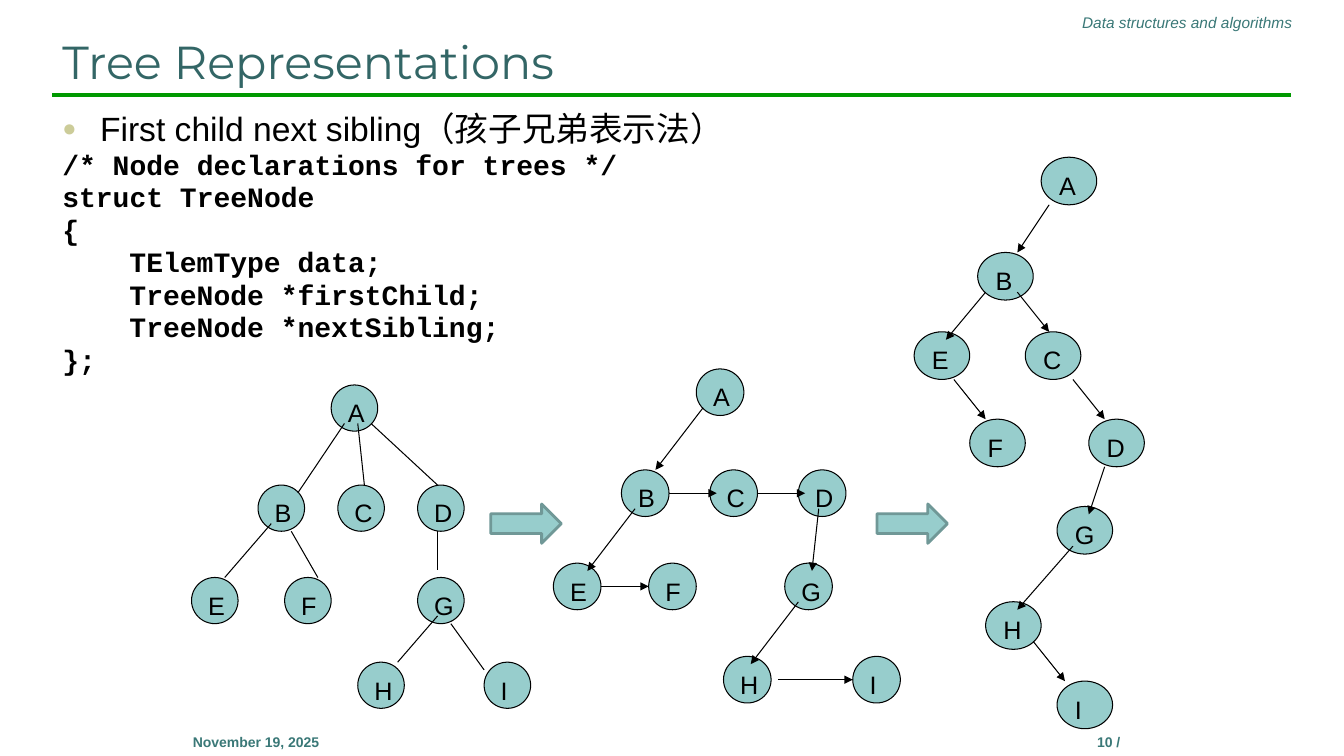
from lxml import etree
from pptx import Presentation
from pptx.dml.color import RGBColor
from pptx.enum.shapes import MSO_CONNECTOR, MSO_SHAPE
from pptx.enum.text import MSO_ANCHOR, PP_ALIGN
from pptx.oxml.ns import qn
from pptx.util import Pt

OVAL, ARROW = MSO_SHAPE.OVAL, MSO_SHAPE.RIGHT_ARROW
LINE = MSO_CONNECTOR.STRAIGHT
TOP, BOTTOM = MSO_ANCHOR.TOP, MSO_ANCHOR.BOTTOM
LEFT, CENTER, RIGHT = PP_ALIGN.LEFT, PP_ALIGN.CENTER, PP_ALIGN.RIGHT
BLACK, TEAL, AQUA = "000000", "3A7877", "97CDCC"
color = RGBColor.from_string


def write(shapes, box, lines, form, tint=BLACK, align=LEFT, anchor=TOP):
    """Add a text box with one paragraph per line."""
    text = shapes.add_textbox(*map(Pt, box))
    frame = text.text_frame
    frame.word_wrap = True
    frame.vertical_anchor = anchor
    frame.text = "\n".join(lines)
    for para in frame.paragraphs:
        para.alignment = align
        font = para.runs[0].font
        font.color.rgb = color(tint)
        for key, value in form.items():
            setattr(font, key, value)
    return text


def link(shapes, ends, tint, width, head=False):
    """Add a straight line, with an arrowhead at its end if asked for."""
    wire = shapes.add_connector(LINE, *map(Pt, ends))
    wire.line.color.rgb = color(tint)
    wire.line.width = Pt(width)
    props = wire.element.spPr
    if head:
        etree.SubElement(props.find(qn("a:ln")), qn("a:tailEnd"), type="triangle")
    etree.SubElement(props, qn("a:effectLst"))


deck = Presentation()
deck.slide_width, deck.slide_height = Pt(960), Pt(540)
shapes = deck.slides.add_slide(deck.slide_layouts[6]).shapes

# Header, footer and title
link(shapes, (37.4, 67.7, 922.3, 67.7), "009900", 3)
write(shapes, (405.4, 5.8, 524.9, 20.9), ["Data structures and algorithms"],
      {"name": "Arial", "size": Pt(11), "italic": True}, TEAL, RIGHT)
for left, note in ((684, "10 /"), (74.9, "November 19, 2025")):
    write(shapes, (left, 520.6, 216, 36), [note],
          {"name": "Arial", "size": Pt(10), "bold": True}, TEAL, CENTER)
write(shapes, (37.4, 16.6, 884.9, 50.4), ["Tree Representations"],
      {"name": "Montserrat", "size": Pt(33)}, "336666", LEFT, BOTTOM)

# Bullet line followed by code; the fields are indented
fields = ["TElemType data;", "TreeNode *firstChild;", "TreeNode *nextSibling;"]
lines = ["First child next sibling（孩子兄弟表示法）",
         "/* Node declarations for trees */", "struct TreeNode", "{",
         *fields, "};"]
body = write(shapes, (37.4, 73.4, 884.9, 438.5), lines,
             {"name": "Courier New", "size": Pt(20), "bold": True})
first, *code = body.text_frame.paragraphs
first.space_before = Pt(5)
for key, value in {"name": "Arial", "size": Pt(24), "bold": False}.items():
    setattr(first.runs[0].font, key, value)
for para in code:
    para.space_before = Pt(4)
    para.line_spacing = 0.8

bullet, *rest = body.element.iter(qn("a:pPr"))
for props, line in zip(rest, lines[1:]):
    if line in fields:
        props.set("marL", str(Pt(48)))
bullet.set("marL", str(Pt(27)))
bullet.set("indent", str(Pt(-27)))
tone = etree.SubElement(bullet, qn("a:buClr"))
etree.SubElement(tone, qn("a:srgbClr"), val="CCCC99")
for tag, key, value in (("a:buSzPct", "val", "70000"),
                        ("a:buFont", "typeface", "Arial"),
                        ("a:buChar", "char", "●")):
    etree.SubElement(bullet, qn(tag), {key: value})

# Each tree has its own grid, and a node spans 7 by 6 grid steps.
# Nodes give the column and row of their top left corner.
# Edges give the grid steps from that corner to each end of the line.
SPAN, RISE = 7, 6
plain = {
    "origin": (136.8, 275), "step": (4.75, 5.5), "head": False,
    "nodes": {"A": (21, 0), "B": (10, 13), "C": (22, 13), "D": (34, 13),
              "E": (0, 25), "F": (14, 25), "G": (34, 25),
              "H": (25, 36), "I": (44, 36)},
    "edges": {"AB": ((2, 5), (6, 1)), "AC": ((4, 5), (4, 0)),
              "AD": ((6, 5), (3, 0)), "BE": ((2, 5), (5, 0)),
              "BF": ((5, 6), (5, 0)), "DG": ((3, 6), (3, -1)),
              "GH": ((3, 5), (6, 0)), "GI": ((5, 6), (0, 1))},
}
linked = {
    "origin": (395.3, 263.5), "step": (4.86, 5.55), "head": True,
    "nodes": {"A": (21, 0), "B": (10, 13), "C": (23, 13), "D": (36, 13),
              "E": (0, 25), "F": (14, 25), "G": (34, 25),
              "H": (25, 37), "I": (44, 37)},
    "edges": {"AB": ((1, 5), (5, 0)), "BC": ((7, 3), (1, 3)),
              "CD": ((7, 3), (1, 3)), "BE": ((2, 5), (5, 1)),
              "EF": ((7, 3), (0, 3)), "DG": ((3, 5), (4, 1)),
              "GH": ((2, 5), (4, 1)), "HI": ((8, 3), (0, 3))},
}
binary = {
    "origin": (653, 112.3), "step": (5.67, 5.67), "head": True,
    "nodes": {"A": (16, 0), "B": (8, 12), "C": (14, 22), "D": (22, 33),
              "E": (0, 22), "F": (7, 33), "G": (18, 44),
              "H": (9, 56), "I": (18, 66)},
    "edges": {"AB": ((1, 6), (5, 0)), "BC": ((5, 5), (3, 0)),
              "CD": ((6, 6), (2, 0)), "BE": ((1, 5), (4, 1)),
              "EF": ((5, 6), (2, 0)), "DG": ((2, 6), (4, 1)),
              "GH": ((2, 5), (4, 1)), "HI": ((6, 5), (1, 0))},
}
parts = []
for tree in (linked, plain, binary):
    group = shapes.add_group_shape().shapes
    (left, top), (dx, dy) = tree["origin"], tree["step"]
    nodes = tree["nodes"]
    for name, (col, row) in nodes.items():
        x, y = left + col * dx, top + row * dy
        node = group.add_shape(OVAL, Pt(x), Pt(y), Pt(SPAN * dx), Pt(RISE * dy))
        parts.append((node, BLACK, 0.75))
        write(group, (x + dx, y + dy, (SPAN - 1) * dx, 28.8), [name],
              {"name": "Arial", "size": Pt(18)})
    for pair, spots in tree["edges"].items():
        ends = []
        for name, (right, down) in zip(pair, spots):
            col, row = nodes[name]
            ends += [left + (col + right) * dx, top + (row + down) * dy]
        link(group, ends, BLACK, 0.75, tree["head"])

# Block arrows between the trees
for left in (350.6, 626.4):
    arrow = shapes.add_shape(ARROW, Pt(left), Pt(360), Pt(50.4), Pt(28.1))
    parts.append((arrow, "709897", 2))

# Fill and outline of nodes and block arrows
for part, tint, width in parts:
    part.shadow.inherit = False
    part.fill.solid()
    part.fill.fore_color.rgb = color(AQUA)
    part.line.color.rgb = color(tint)
    part.line.width = Pt(width)

deck.save("out.pptx")
